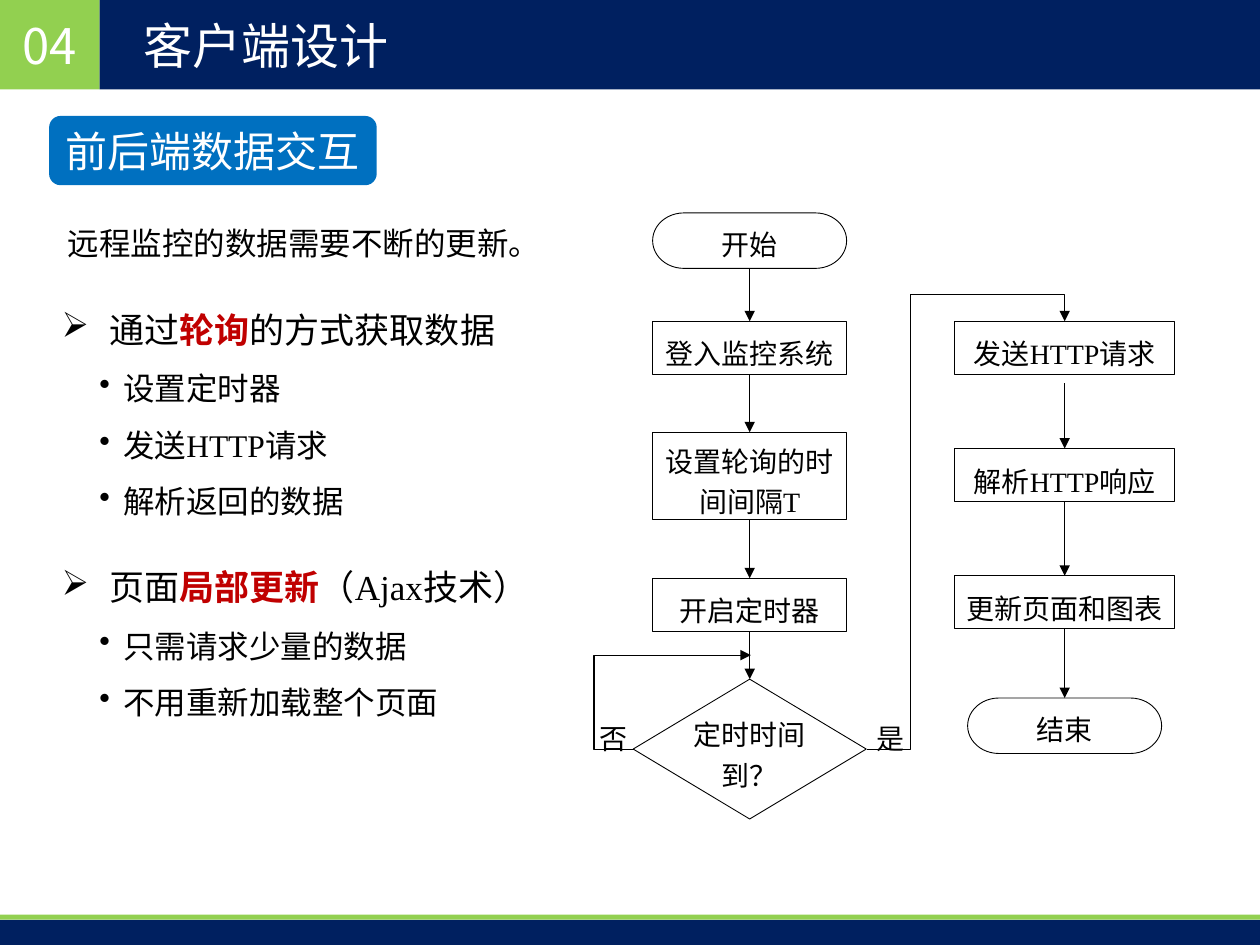
from lxml import etree
from pptx import Presentation
from pptx.dml.color import RGBColor
from pptx.enum import shapes, text
from pptx.oxml.ns import qn
from pptx.util import Inches, Pt

COLORS = {"navy": "002060", "green": "92D050", "blue": "0070C0",
          "red": "C00000", "black": "000000", "white": "FFFFFF"}
SERIF, SANS = "Times New Roman", "Noto Sans CJK SC"
KIND = shapes.MSO_SHAPE
CENTER, LEFT = text.PP_ALIGN.CENTER, text.PP_ALIGN.LEFT
MIDDLE, TOP = text.MSO_ANCHOR.MIDDLE, text.MSO_ANCHOR.TOP

# Content: bands (colour, box), flowchart columns (kind, text, top, height)
BANDS = [("green", (0, 0, 0.79, 0.71)), ("navy", (0.79, 0, 9.21, 0.71)),
         ("navy", (0, 7.3, 10, 0.2)), ("green", (0, 7.26, 10, 0.04))]
COLUMNS = [
    (5.95, 1.54, [("end", "开始", 1.69, 0.44),
                  ("step", "登入监控系统", 2.55, 0.42),
                  ("step", "设置轮询的时间间隔T", 3.43, 0.69),
                  ("step", "开启定时器", 4.59, 0.42),
                  ("test", "定时时间到？", 5.39, 1.11)]),
    (8.45, 1.75, [("step", "发送HTTP请求", 2.55, 0.42),
                  ("step", "解析HTTP响应", 3.56, 0.42),
                  ("step", "更新页面和图表", 4.57, 0.42),
                  ("end", "结束", 5.54, 0.44)]),
]
# Kind: preset, fixed width (None = column width), insets
NODES = {"end": (KIND.FLOWCHART_TERMINATOR, 1.54, (0.08, 0.04, 0.08, 0.04)),
         "step": (KIND.FLOWCHART_PROCESS, None, (0.04, 0.12, 0.04, 0.08)),
         "test": (KIND.FLOWCHART_DECISION, 1.85, (0, 0.04, 0, 0))}
BRANCHES = [("是", 6.92), ("否", 4.72)]
# Loops: preset, start, end, bend positions as shares of the size
LOOPS = [("bentConnector4", (6.88, 5.95), (8.45, 2.55), (0.222, 1.063)),
         ("bentConnector3", (5.03, 5.95), (5.96, 5.2), (-0.338,))]
# Topics: (before, stressed, after), points
TOPICS = [(("通过", "轮询", "的方式获取数据"),
           ["设置定时器", "发送HTTP请求", "解析返回的数据"]),
          (("页面", "局部更新", "（Ajax技术）"),
           ["只需请求少量的数据", "不用重新加载整个页面"])]

prs = Presentation()
prs.slide_width, prs.slide_height = Inches(10), Inches(7.5)
s = prs.slides.add_slide(prs.slide_layouts[6])


def rgb(name):
    return RGBColor.from_string(COLORS[name])


def add_run(p, words, size, color="black", bold=False, font=SERIF):
    r = p.add_run()
    r.text = words
    r.font.size, r.font.bold, r.font.name = Pt(size), bold, font
    r.font.color.rgb = rgb(color)
    ea = etree.SubElement(r.font._element, qn("a:ea"))
    ea.set("typeface", SANS)


def add_bullet(p, char, margin, hang):
    pPr = p._p.get_or_add_pPr()
    pPr.set("marL", str(Inches(margin)))
    pPr.set("indent", str(-Inches(hang)))
    etree.SubElement(pPr, qn("a:buChar")).set("char", char)


def set_frame(tf, anchor=MIDDLE, insets=(0.1, 0.05, 0.1, 0.05), wrap=True):
    tf.word_wrap, tf.vertical_anchor = wrap, anchor
    (tf.margin_left, tf.margin_top,
     tf.margin_right, tf.margin_bottom) = map(Inches, insets)
    return tf


def write(sp, words, size, color="black", align=CENTER, font=SERIF,
          spacing=1.0, **frame):
    p = set_frame(sp.text_frame, **frame).paragraphs[0]
    p.alignment, p.line_spacing = align, spacing
    add_run(p, words, size, color, font=font)


def add_box(kind, box, fill=None, line=None):
    sp = s.shapes.add_shape(kind, *map(Inches, box))
    sp.shadow.inherit = False
    if fill:
        sp.fill.solid()
        sp.fill.fore_color.rgb = rgb(fill)
    else:
        sp.fill.background()
    if line:
        sp.line.color.rgb, sp.line.width = rgb("black"), Pt(line)
    else:
        sp.line.fill.background()
    return sp


def add_text(box):
    return s.shapes.add_textbox(*map(Inches, box))


def add_arrow(start, end, kind=shapes.MSO_CONNECTOR.STRAIGHT):
    cx = s.shapes.add_connector(kind, *map(Inches, start + end))
    cx.line.color.rgb, cx.line.width = rgb("black"), Pt(0.75)
    etree.SubElement(cx.line._get_or_add_ln(), qn("a:tailEnd")).set("type", "triangle")
    etree.SubElement(cx._element.spPr, qn("a:effectLst"))
    return cx


# Header and footer
for color, box in BANDS:
    add_box(KIND.RECTANGLE, box, color)
write(add_text((1.04, 0, 8.03, 0.71)), "客户端设计", 28, "white", LEFT, SANS)
write(add_text((0, 0, 0.79, 0.71)), "04", 28, "white", font=SANS)

# Section heading and introduction
sp = add_box(KIND.ROUNDED_RECTANGLE, (0.39, 0.92, 2.6, 0.55), "blue")
write(sp, "前后端数据交互", 24, "white")
write(add_text((0.44, 1.58, 3.99, 0.5)), "远程监控的数据需要不断的更新。", 18,
      align=LEFT, spacing=1.5, anchor=TOP, wrap=False)

# Branch labels
for words, x in BRANCHES:
    write(add_text((x, 5.67, 0.28, 0.32)), words, 16, align=LEFT, spacing=1.2,
          insets=(0.04,) * 4, wrap=False)

# Flowchart nodes, with an arrow down to each from the one above
for center, column_width, nodes in COLUMNS:
    bottom = None
    for kind, words, top, height in nodes:
        preset, width, insets = NODES[kind]
        width = width or column_width
        sp = add_box(preset, (center - width / 2, top, width, height), line=0.5)
        write(sp, words, 16, spacing=1.2, insets=insets)
        if bottom:
            gap = 0.07 if words == "解析HTTP响应" else 0
            add_arrow((center, bottom + gap), (center, top))
        bottom = top + height

# Loop connectors
for preset, start, end, bends in LOOPS:
    cx = add_arrow(start, end, shapes.MSO_CONNECTOR.ELBOW)
    geom = cx._element.spPr.find(qn("a:prstGeom"))
    geom.set("prst", preset)
    guides = geom.find(qn("a:avLst"))
    if guides is None:
        guides = etree.SubElement(geom, qn("a:avLst"))
    for i, bend in enumerate(bends, 1):
        gd = etree.SubElement(guides, qn("a:gd"))
        gd.set("name", f"adj{i}")
        gd.set("fmla", f"val {round(bend * 100000)}")

# Topics and their points
tf = set_frame(add_text((0.39, 2.23, 4.08, 4.03)).text_frame, anchor=TOP)
for i, ((before, stressed, after), points) in enumerate(TOPICS):
    p = tf.add_paragraph() if i else tf.paragraphs[0]
    p.line_spacing = 1.5
    if i:
        p.space_before = Pt(14)
    add_bullet(p, "➢", 0.38, 0.38)
    add_run(p, before, 20)
    add_run(p, stressed, 20, "red", True)
    add_run(p, after, 20)
    for point in points:
        p = tf.add_paragraph()
        p.line_spacing = 1.5
        add_bullet(p, "•", 0.49, 0.19)
        add_run(p, point, 18)

prs.save("out.pptx")
